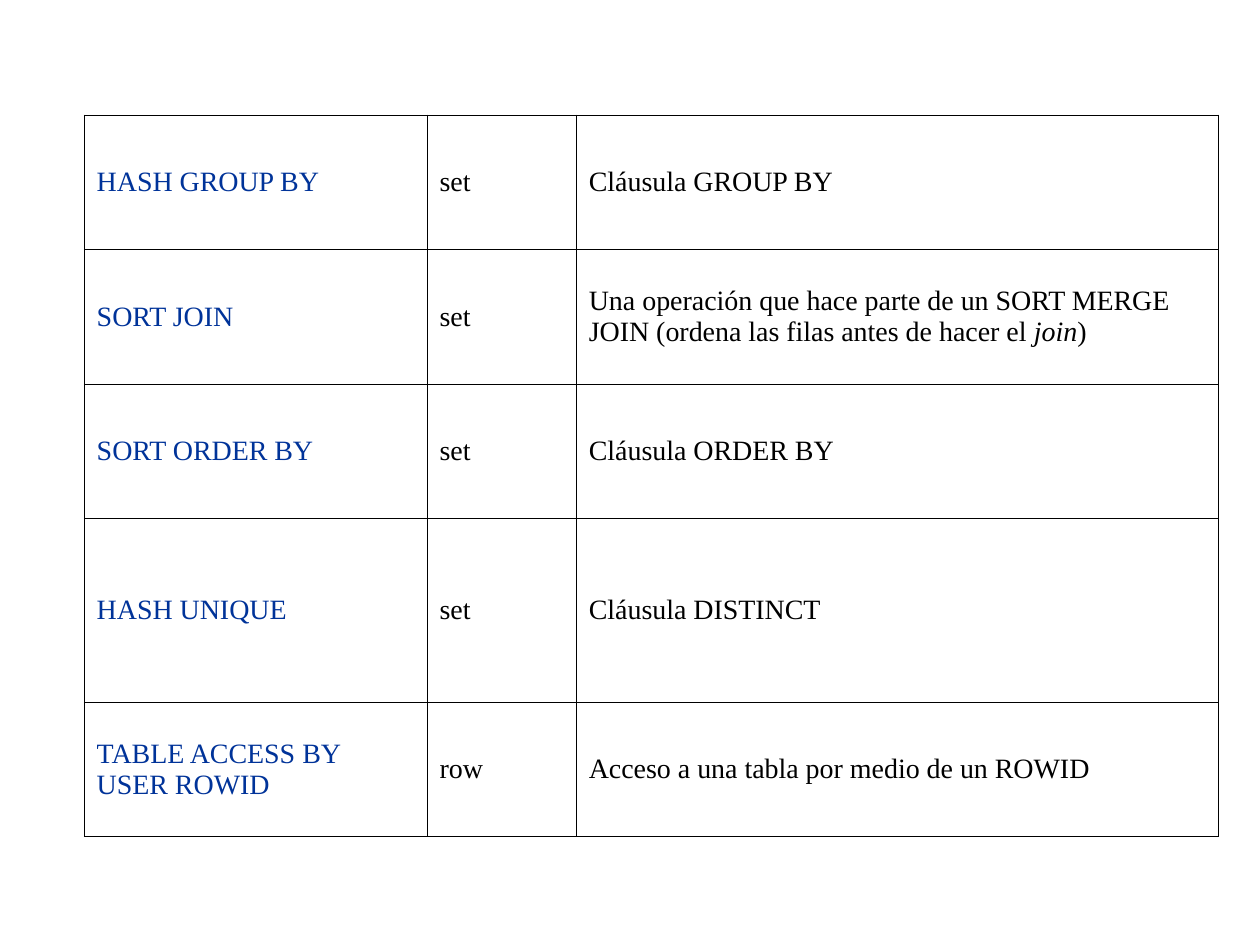
"""Build a slide with a table of query plan operations."""
from dataclasses import dataclass

from lxml.etree import SubElement as Sub
from pptx import Presentation
from pptx.dml.color import RGBColor
from pptx.enum.text import MSO_VERTICAL_ANCHOR as Anchor
from pptx.oxml.ns import qn
from pptx.slide import Slide
from pptx.util import Cm, Pt

BLUE = RGBColor(0x00, 0x33, 0x99)
BLACK = RGBColor(0x00, 0x00, 0x00)

COLUMN_WIDTHS = [6.91, 3.01, 12.94]
ROW_HEIGHTS = [2.71, 2.71, 2.71, 3.71, 2.7]
OPERATIONS = [
    ("HASH GROUP BY", "set", "Cláusula GROUP BY"),
    ("SORT JOIN", "set",
     "Una operación que hace parte de un SORT MERGE\n"
     "JOIN (ordena las filas antes de hacer el *join*)"),
    ("SORT ORDER BY", "set", "Cláusula ORDER BY"),
    ("HASH UNIQUE", "set", "Cláusula DISTINCT"),
    ("TABLE ACCESS BY\nUSER ROWID", "row",
     "Acceso a una tabla por medio de un ROWID"),
]


@dataclass
class PlanSlide:
    slide: Slide
    font: str = "Times New Roman"
    size: float = 16
    border: float = 0.45
    hanging: float = 0.97

    def table(self, left, top, widths, heights, rows, colours):
        grid = self.slide.shapes.add_table(
            len(heights), len(widths), Cm(left), Cm(top),
            Cm(sum(widths)), Cm(sum(heights))).table
        grid.first_row = grid.horz_banding = False
        for column, width in zip(grid.columns, widths):
            column.width = Cm(width)
        for row, height, entries in zip(grid.rows, heights, rows):
            row.height = Cm(height)
            for cell, entry, colour in zip(row.cells, entries, colours):
                self.cell(cell, entry, colour)

    def cell(self, cell, entry, colour):
        cell.vertical_anchor = Anchor.MIDDLE
        cell.margin_left = cell.margin_right = Cm(0.25)
        cell.margin_top = cell.margin_bottom = Cm(0.13)
        self.borders(cell)
        cell.fill.background()
        frame = cell.text_frame
        for number, line in enumerate(entry.split("\n")):
            paragraph = frame.add_paragraph() if number else frame.paragraphs[0]
            self.line(paragraph, line, colour)

    def line(self, paragraph, line, colour):
        properties = paragraph._p.get_or_add_pPr()
        properties.set("marL", str(Cm(self.hanging)))
        properties.set("indent", str(-Cm(self.hanging)))
        for number, part in enumerate(line.split("*")):
            run = paragraph.add_run()
            run.text = part
            run.font.name = self.font
            run.font.size = Pt(self.size)
            run.font.color.rgb = colour
            run.font.italic = number % 2 == 1

    def borders(self, cell):
        properties = cell._tc.get_or_add_tcPr()
        for side in ("lnL", "lnR", "lnT", "lnB"):
            edge = Sub(properties, qn(f"a:{side}"), w=str(Pt(self.border)))
            Sub(Sub(edge, qn("a:solidFill")), qn("a:srgbClr"), val=str(BLACK))


def main():
    deck = Presentation()
    deck.slide_width, deck.slide_height = Cm(25.4), Cm(19.05)
    plan = PlanSlide(deck.slides.add_slide(deck.slide_layouts[6]))
    plan.table(1.7, 2.32, COLUMN_WIDTHS, ROW_HEIGHTS, OPERATIONS,
               (BLUE, BLACK, BLACK))
    deck.save("out.pptx")


if __name__ == "__main__":
    main()
